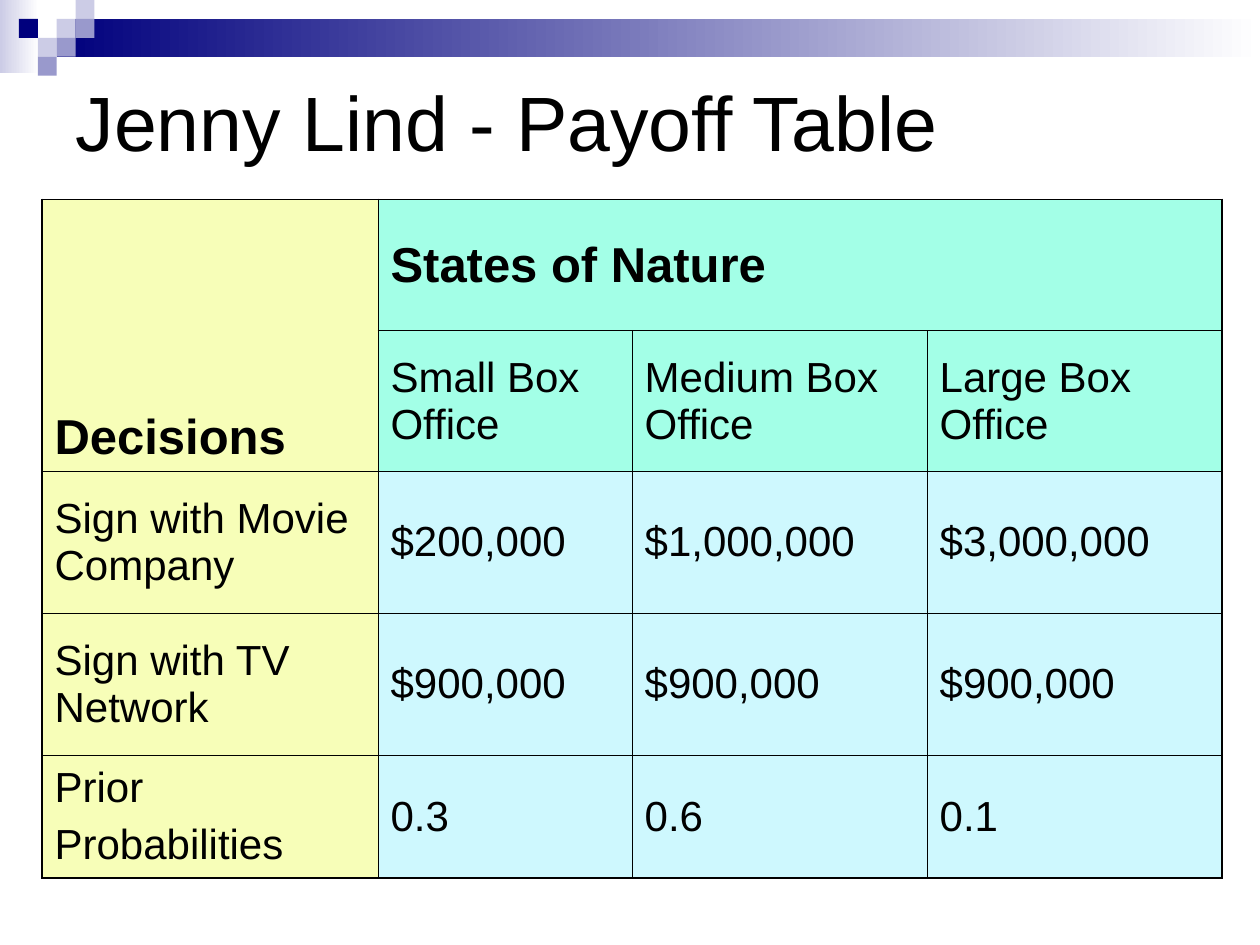
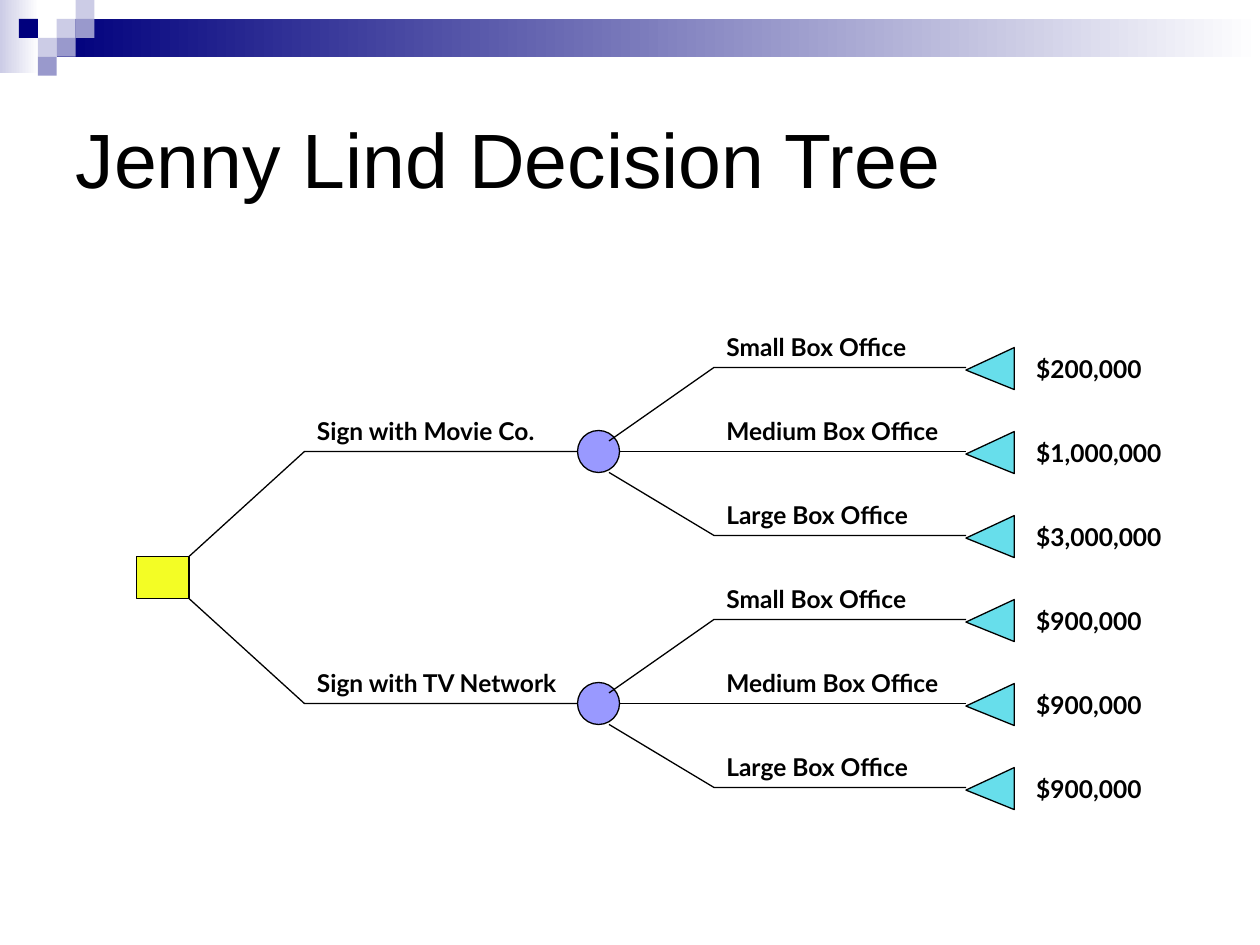
"""Build the payoff table and decision tree slides for the Jenny Lind case."""
from dataclasses import dataclass

from lxml.etree import SubElement
from pptx import Presentation
from pptx.dml.color import RGBColor
from pptx.enum.shapes import MSO_CONNECTOR, MSO_SHAPE
from pptx.enum.text import MSO_ANCHOR, MSO_AUTO_SIZE, PP_ALIGN
from pptx.oxml import parse_xml
from pptx.oxml.ns import nsdecls, qn
from pptx.util import Inches, Pt

GRID_PER_INCH = 12
TILE = 1.8


@dataclass(frozen=True)
class Theme:
    heading_font: str = "Arial"
    tree_font: str = "Lato"
    title_size: int = 44
    header_size: int = 28
    cell_size: int = 24
    label_size: int = 14
    ink: str = "000000"
    paper: str = "FFFFFF"
    navy: str = "00007D"
    lavender: str = "9999CC"
    mist: str = "CCCCE6"
    decision_cell: str = "F7FEB8"
    state_cell: str = "A3FFE7"
    payoff_cell: str = "CEF8FE"
    decision_node: str = "F3FD25"
    chance_node: str = "9999FF"
    end_node: str = "67DEEB"
    line_width: float = 0.75
    inner_border: float = 0.45
    outer_border: float = 1.08


def grid(cells):
    return Inches(cells / GRID_PER_INCH)


class Deck:
    def __init__(self, theme):
        self.theme = theme
        self.presentation = Presentation()
        self.presentation.slide_width = grid(120)
        self.presentation.slide_height = grid(90)
        self.layout = self.presentation.slide_layouts[5]
        self.slide = None

    def add_slide(self, heading, title_rows):
        self.slide = self.presentation.slides.add_slide(self.layout)
        title = self.slide.shapes.title
        title.left, title.top, title.width, title.height = map(
            grid, (6, 6, 108, title_rows))
        frame = title.text_frame
        frame.text = heading
        frame.auto_size = MSO_AUTO_SIZE.NONE
        frame.vertical_anchor = MSO_ANCHOR.MIDDLE
        frame.paragraphs[0].alignment = PP_ALIGN.LEFT
        self.style(frame.paragraphs[0], self.theme.heading_font, self.theme.title_size)

    def style(self, paragraph, font, size, bold=False):
        paragraph.font.name = font
        paragraph.font.size = Pt(size)
        paragraph.font.bold = bold
        paragraph.font.color.rgb = RGBColor.from_string(self.theme.ink)

    def outline(self, line):
        line.color.rgb = RGBColor.from_string(self.theme.ink)
        line.width = Pt(self.theme.line_width)

    def node(self, kind, col, row, cols, rows, fill, outlined=True):
        shape = self.slide.shapes.add_shape(kind, *map(grid, (col, row, cols, rows)))
        shape.shadow.inherit = False
        if isinstance(fill, tuple):
            shape.fill.gradient()
            shape.fill.gradient_angle = 0
            for stop, colour in zip(shape.fill.gradient_stops, fill):
                stop.color.rgb = RGBColor.from_string(colour)
        else:
            shape.fill.solid()
            shape.fill.fore_color.rgb = RGBColor.from_string(fill)
        if outlined:
            self.outline(shape.line)
        else:
            shape.line.fill.background()
        return shape

    def end_node(self, col, row):
        length, breadth = 4.6, 4
        triangle = self.node(
            MSO_SHAPE.ISOSCELES_TRIANGLE, col + (length - breadth) / 2,
            row - length / 2, breadth, length, self.theme.end_node)
        triangle.rotation = 270
        triangle.adjustments[0] = 0.464

    def branch(self, *points):
        start, *rest = [tuple(map(grid, point)) for point in points]
        builder = self.slide.shapes.build_freeform(*start)
        builder.add_line_segments(rest, close=False)
        path = builder.convert_to_shape()
        path.shadow.inherit = False
        path.fill.background()
        self.outline(path.line)

    def straight(self, start, end):
        line = self.slide.shapes.add_connector(
            MSO_CONNECTOR.STRAIGHT, *map(grid, start + end))
        self.outline(line.line)
        SubElement(line.element.spPr, qn("a:effectLst"))

    def label(self, text, col, row, cols):
        box = self.slide.shapes.add_textbox(*map(grid, (col, row, cols, 4)))
        box.text_frame.word_wrap = True
        box.text_frame.text = text
        self.style(box.text_frame.paragraphs[0], self.theme.tree_font,
                   self.theme.label_size, bold=True)

    def table(self, col, row, cols, rows, texts, merges, fill_for):
        table = self.slide.shapes.add_table(
            len(rows), len(cols), *map(grid, (col, row, sum(cols), sum(rows)))).table
        table.first_row = table.horz_banding = False
        for column, width in zip(table.columns, cols):
            column.width = grid(width)
        for line, height in zip(table.rows, rows):
            line.height = grid(height)
        for first, last in merges:
            table.cell(*first).merge(table.cell(*last))
        for r, line in enumerate(texts):
            for c, text in enumerate(line):
                cell = table.cell(r, c)
                if cell.is_spanned:
                    continue
                header = cell.is_merge_origin
                cell.text = text
                cell.vertical_anchor = MSO_ANCHOR.MIDDLE
                for paragraph in cell.text_frame.paragraphs:
                    paragraph.space_before = Pt(7 if header else 6)
                    self.style(paragraph, self.theme.heading_font,
                               self.theme.header_size if header else self.theme.cell_size,
                               bold=header)
                cell.fill.solid()
                cell.fill.fore_color.rgb = RGBColor.from_string(fill_for(r, c))
                self.borders(cell, {
                    "L": c == 0, "R": c + cell.span_width >= len(cols) if header
                    else c + 1 == len(cols),
                    "T": r == 0, "B": r + 1 == len(rows)})
        return table

    def borders(self, cell, outer_sides):
        properties = cell._tc.get_or_add_tcPr()
        for place, (side, outer) in enumerate(outer_sides.items()):
            width = Pt(self.theme.outer_border if outer else self.theme.inner_border)
            properties.insert(place, parse_xml(
                f'<a:ln{side} {nsdecls("a")} w="{width}"><a:solidFill>'
                f'<a:srgbClr val="{self.theme.ink}"/></a:solidFill></a:ln{side}>'))

    def band(self):
        theme = self.theme
        pieces = [(0, 0, 3.7, 7, (theme.mist, theme.paper)),
                  (3 * TILE, TILE, 120 - 3 * TILE, 2 * TILE, (theme.navy, theme.paper))]
        tiles = [(3, 1, theme.mist), (4, 0, theme.mist), (4, 1, theme.lavender),
                 (2, 2, theme.mist), (1, 1, theme.navy), (3, 2, theme.lavender),
                 (2, 3, theme.lavender)]
        pieces += [(c * TILE, r * TILE, TILE, TILE, fill) for c, r, fill in tiles]
        for place, piece in enumerate(pieces):
            element = self.node(MSO_SHAPE.RECTANGLE, *piece, outlined=False).element
            element.nvSpPr.cNvPr.set("id", str(100 + place))
            self.layout.shapes.element.insert(2 + place, element)


def payoff_slide(deck):
    theme = deck.theme
    deck.add_slide("Jenny Lind - Payoff Table", 11)
    deck.band()
    payoffs = [
        ["Decisions", "States of Nature", "", ""],
        ["", "Small Box Office", "Medium Box Office", "Large Box Office"],
        ["Sign with Movie Company", "$200,000", "$1,000,000", "$3,000,000"],
        ["Sign with TV Network", "$900,000", "$900,000", "$900,000"],
        ["Prior\nProbabilities", "0.3", "0.6", "0.1"],
    ]

    def fill_for(row, col):
        if col == 0:
            return theme.decision_cell
        return theme.state_cell if row < 2 else theme.payoff_cell

    table = deck.table(4, 19, (32, 24.2, 28.1, 28.1), (12.5, 13.4, 13.5, 13.5, 11.75),
                       payoffs, [((0, 0), (1, 0)), ((0, 1), (0, 3))], fill_for)
    table.cell(0, 0).vertical_anchor = MSO_ANCHOR.BOTTOM


def tree_slide(deck):
    theme = deck.theme
    deck.add_slide("Jenny Lind Decision Tree", 18)
    deck.node(MSO_SHAPE.RECTANGLE, 13, 53, 5, 4, theme.decision_node)
    outcomes = ("Small Box Office", "Medium Box Office", "Large Box Office")
    decisions = [
        ("Sign with Movie Co.", 43, 53, ("$200,000", "$1,000,000", "$3,000,000")),
        ("Sign with TV Network", 67, 57, ("$900,000",) * 3),
    ]
    for decision, middle, root, payoffs in decisions:
        deck.node(MSO_SHAPE.OVAL, 55, middle - 2, 4, 4, theme.chance_node)
        deck.branch((18, root), (29, middle), (55, middle))
        deck.label(decision, 29, middle - 4, 27)
        deck.branch((58, middle - 1), (68, middle - 8), (92, middle - 8))
        deck.straight((92, middle), (59, middle))
        deck.branch((58, middle + 2), (68, middle + 8), (92, middle + 8))
        for step, (outcome, payoff) in enumerate(zip(outcomes, payoffs), start=-1):
            row = middle + 8 * step
            deck.end_node(92, row + 0.1)
            deck.label(outcome, 68, row - 4, 25)
            deck.label(payoff, 97.5, row - 1.9, 16)


def main():
    deck = Deck(Theme())
    payoff_slide(deck)
    tree_slide(deck)
    deck.presentation.save("out.pptx")


if __name__ == "__main__":
    main()
